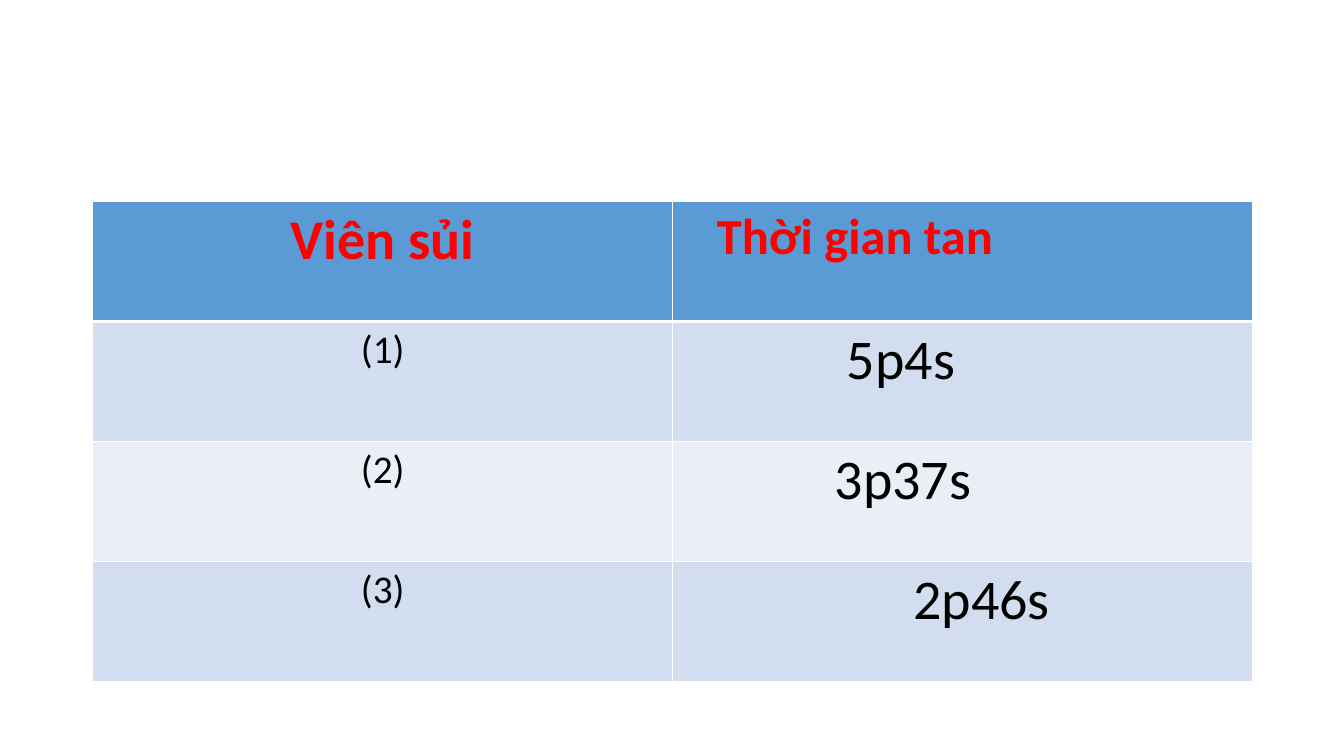
from lxml.etree import SubElement
from pptx import Presentation
from pptx.dml.color import RGBColor as RGB
from pptx.enum.text import PP_ALIGN as Align
from pptx.oxml.ns import qn
from pptx.util import Pt

PX = 9144  # EMU per px, 100 px to the inch
FONT = "Calibri"
COLORS = {
    "header": "5B9BD5",
    "band_dark": "D2DEEF",
    "band_light": "EAEFF7",
    "border": "FFFFFF",
    "title": "FF0000",
    "body": "000000",
}
LEFT, TOP, COL_W, ROW_H = 92, 200, 575, 119

# tablet label, label size, time, time size, time indent in px, time alignment
ROWS = [
    ("Viên sủi", 40, "Thời gian tan", 36, 34, Align.LEFT),
    ("(1)", 28, "5p4s", 40, 163, Align.LEFT),
    ("(2)", 28, "3p37s", 40, 151, Align.LEFT),
    ("(3)", 28, "2p46s", 40, 38, Align.CENTER),
]


def rgb(name):
    return RGB.from_string(COLORS[name])


def put_text(tf, text, size, color="body", bold=False, align=Align.LEFT, indent=0):
    p = tf.paragraphs[0]
    p.alignment = align
    if indent:
        p._p.get_or_add_pPr().set("marL", str(indent * PX))
    r = p.add_run()
    r.text = text
    r.font.name = FONT
    r.font.size = Pt(size)
    r.font.bold = bold
    r.font.color.rgb = rgb(color)


def set_borders(cell, **widths):
    """Draw the L, R, T and B borders, 1 pt wide unless widths says otherwise."""
    tc_pr = cell._tc.get_or_add_tcPr()
    for side in "LRTB":
        ln = SubElement(tc_pr, qn(f"a:ln{side}"), w=str(Pt(widths.get(side, 1))))
        fill = SubElement(ln, qn("a:solidFill"))
        SubElement(fill, qn("a:srgbClr"), val=COLORS["border"])


def style_cell(cell, row):
    widths = {0: {"B": 3}, 1: {"T": 3}}.get(row, {})
    set_borders(cell, **widths)
    band = "band_dark" if row % 2 else "band_light"
    cell.fill.solid()
    cell.fill.fore_color.rgb = rgb(band if row else "header")


def add_times_table(s):
    table = s.shapes.add_table(
        len(ROWS), 2, LEFT * PX, TOP * PX, 2 * COL_W * PX, len(ROWS) * ROW_H * PX
    ).table
    for i, (label, label_size, time, time_size, indent, align) in enumerate(ROWS):
        look = {"color": "body" if i else "title", "bold": i == 0}
        label_cell, time_cell = table.cell(i, 0), table.cell(i, 1)
        for cell in (label_cell, time_cell):
            style_cell(cell, i)
        put_text(label_cell.text_frame, label, label_size, align=Align.CENTER, **look)
        put_text(time_cell.text_frame, time, time_size, align=align, indent=indent, **look)


def main():
    prs = Presentation()
    prs.slide_width, prs.slide_height = 1333 * PX, 750 * PX
    s = prs.slides.add_slide(prs.slide_layouts[6])
    add_times_table(s)
    prs.save("out.pptx")


if __name__ == "__main__":
    main()
